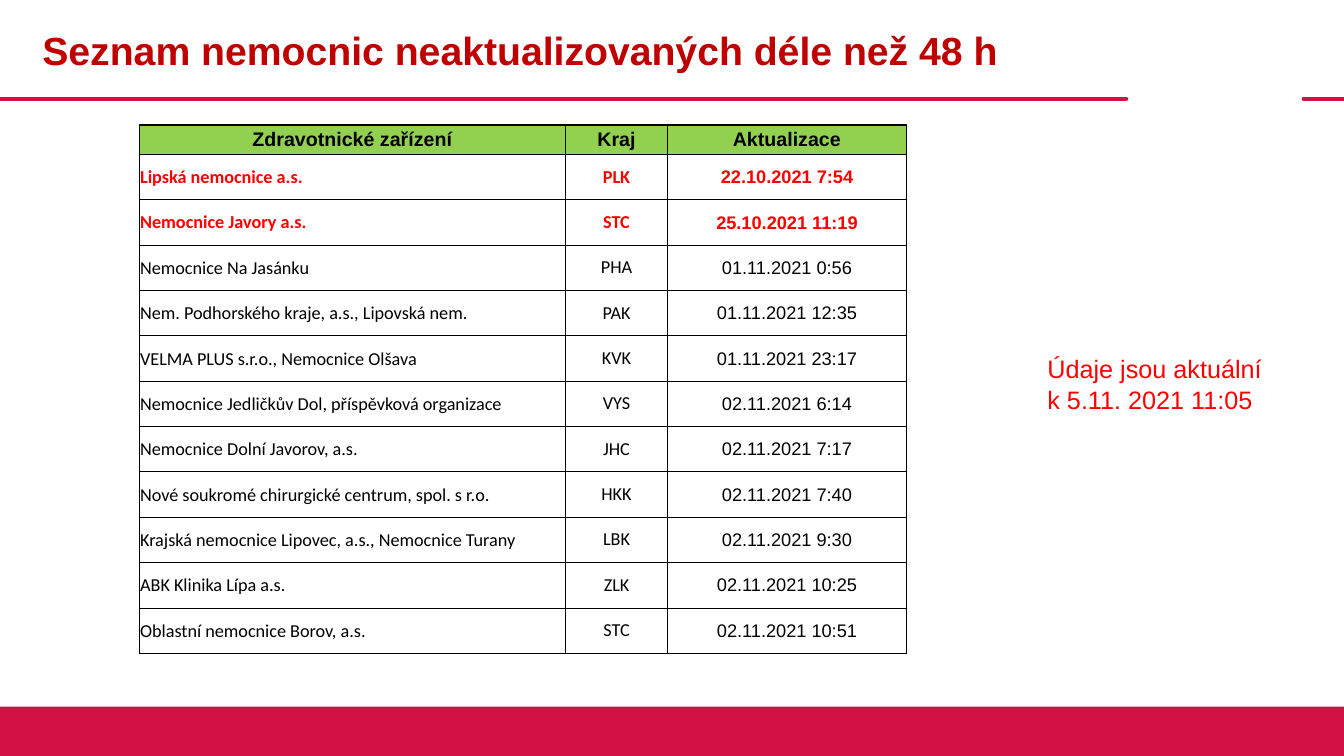
from lxml.etree import SubElement
from pptx import Presentation
from pptx.dml.color import RGBColor
from pptx.enum.shapes import MSO_CONNECTOR, MSO_SHAPE
from pptx.enum.text import MSO_ANCHOR, MSO_AUTO_SIZE, PP_ALIGN
from pptx.oxml.ns import qn
from pptx.util import Inches, Pt

COLORS = {name: RGBColor.from_string(value) for name, value in {
    "crimson": "D31145", "title": "C00000", "alert": "FF0000",
    "header": "92D050", "black": "000000"}.items()}

HEADER = ("Zdravotnické zařízení", "Kraj", "Aktualizace")
HOSPITALS = [
    ("Lipská nemocnice a.s.", "PLK", "22.10.2021 7:54"),
    ("Nemocnice Javory a.s.", "STC", "25.10.2021 11:19"),
    ("Nemocnice Na Jasánku", "PHA", "01.11.2021 0:56"),
    ("Nem. Podhorského kraje, a.s., Lipovská nem.", "PAK", "01.11.2021 12:35"),
    ("VELMA PLUS s.r.o., Nemocnice Olšava", "KVK", "01.11.2021 23:17"),
    ("Nemocnice Jedličkův Dol, příspěvková organizace", "VYS", "02.11.2021 6:14"),
    ("Nemocnice Dolní Javorov, a.s.", "JHC", "02.11.2021 7:17"),
    ("Nové soukromé chirurgické centrum, spol. s r.o.", "HKK", "02.11.2021 7:40"),
    ("Krajská nemocnice Lipovec, a.s., Nemocnice Turany", "LBK", "02.11.2021 9:30"),
    ("ABK Klinika Lípa a.s.", "ZLK", "02.11.2021 10:25"),
    ("Oblastní nemocnice Borov, a.s.", "STC", "02.11.2021 10:51"),
]
ALERT_ROWS = (1, 2)
COLUMN_WIDTHS = (4.23, 1.01, 2.37)
HEADER_HEIGHT, ROW_HEIGHT = 0.29, 0.45


def set_font(para, size, name, color, bold=False):
    font = para.font
    font.size, font.name, font.bold = Pt(size), name, bold
    font.color.rgb = COLORS[color]


def set_borders(cell, widths):
    """Draw black cell edges; widths maps L, R, T and B to points."""
    properties = cell._tc.get_or_add_tcPr()
    for side in "LRTB":
        edge = SubElement(properties, qn(f"a:ln{side}"), w=str(Pt(widths[side])))
        fill = SubElement(edge, qn("a:solidFill"))
        SubElement(fill, qn("a:srgbClr"), val=str(COLORS["black"]))


deck = Presentation()
deck.slide_width, deck.slide_height = Inches(13.33), Inches(7.5)
page = deck.slides.add_slide(deck.slide_layouts[5])

# Rule under the title and bar at the foot
for start, end in ((0, 11.17), (12.93, 13.33)):
    rule = page.shapes.add_connector(
        MSO_CONNECTOR.STRAIGHT, Inches(start), Inches(0.98), Inches(end), Inches(0.98))
    rule.line.color.rgb = COLORS["crimson"]
    rule.line.width = Pt(3)
    rule.line._get_or_add_ln().set("cap", "rnd")
    SubElement(rule._element.spPr, qn("a:effectLst"))

footer = page.shapes.add_shape(
    MSO_SHAPE.RECTANGLE, 0, Inches(7.01), deck.slide_width, Inches(0.49))
footer.shadow.inherit = False
footer.fill.solid()
footer.fill.fore_color.rgb = COLORS["crimson"]
footer.line.fill.background()

# Title
title = page.shapes.title
title.left, title.top, title.width, title.height = map(Inches, (0.32, 0.26, 10.81, 0.98))
title.text_frame.text = "Seznam nemocnic neaktualizovaných déle než 48 h"
title.text_frame.auto_size = MSO_AUTO_SIZE.NONE
title.text_frame.vertical_anchor = MSO_ANCHOR.TOP
para = title.text_frame.paragraphs[0]
para.alignment = PP_ALIGN.LEFT
para.line_spacing = 0.9
set_font(para, 28, "Arial", "title", bold=True)

# Date of the data
box = page.shapes.add_textbox(Inches(10.29), Inches(3.46), Inches(2.41), Inches(0.71))
box.text_frame.word_wrap = True
box.text_frame.auto_size = MSO_AUTO_SIZE.SHAPE_TO_FIT_TEXT
box.text_frame.text = "Údaje jsou aktuální k 5.11. 2021 11:05"
set_font(box.text_frame.paragraphs[0], 18, "Arial", "alert")

# Table of hospitals
rows = [HEADER, *HOSPITALS]
last_row, last_column = len(rows) - 1, len(HEADER) - 1
table = page.shapes.add_table(
    len(rows), len(HEADER), Inches(1.38), Inches(1.24), Inches(sum(COLUMN_WIDTHS)),
    Inches(HEADER_HEIGHT + ROW_HEIGHT * last_row)).table
table.first_row = table.horz_banding = False
for column, width in zip(table.columns, COLUMN_WIDTHS):
    column.width = Inches(width)

for r, texts in enumerate(rows):
    is_header = r == 0
    table.rows[r].height = Inches(HEADER_HEIGHT if is_header else ROW_HEIGHT)
    for c, text in enumerate(texts):
        cell = table.cell(r, c)
        is_region = c == 1 and not is_header
        cell.margin_left = cell.margin_right = Inches(0.01)
        cell.margin_top = Inches(0.08 if is_region else 0.01)
        cell.margin_bottom = Inches(0.08 if is_region else 0)
        cell.vertical_anchor = MSO_ANCHOR.MIDDLE
        set_borders(cell, {
            "L": 1 if c == 0 else 0.5,
            "R": 1 if c == last_column else 0.5,
            "T": 1 if r <= 1 else 0.5,
            "B": 1 if r in (0, last_row) else 0.5})
        if is_header:
            cell.fill.solid()
            cell.fill.fore_color.rgb = COLORS["header"]
        else:
            cell.fill.background()
        cell.text = text
        para = cell.text_frame.paragraphs[0]
        para.alignment = PP_ALIGN.LEFT if c == 0 and not is_header else PP_ALIGN.CENTER
        set_font(para, 14 if is_header else 13,
                 "Arial" if is_header or c == last_column else "Calibri",
                 "alert" if r in ALERT_ROWS else "black",
                 bold=is_header or r in ALERT_ROWS)

deck.save("out.pptx")
